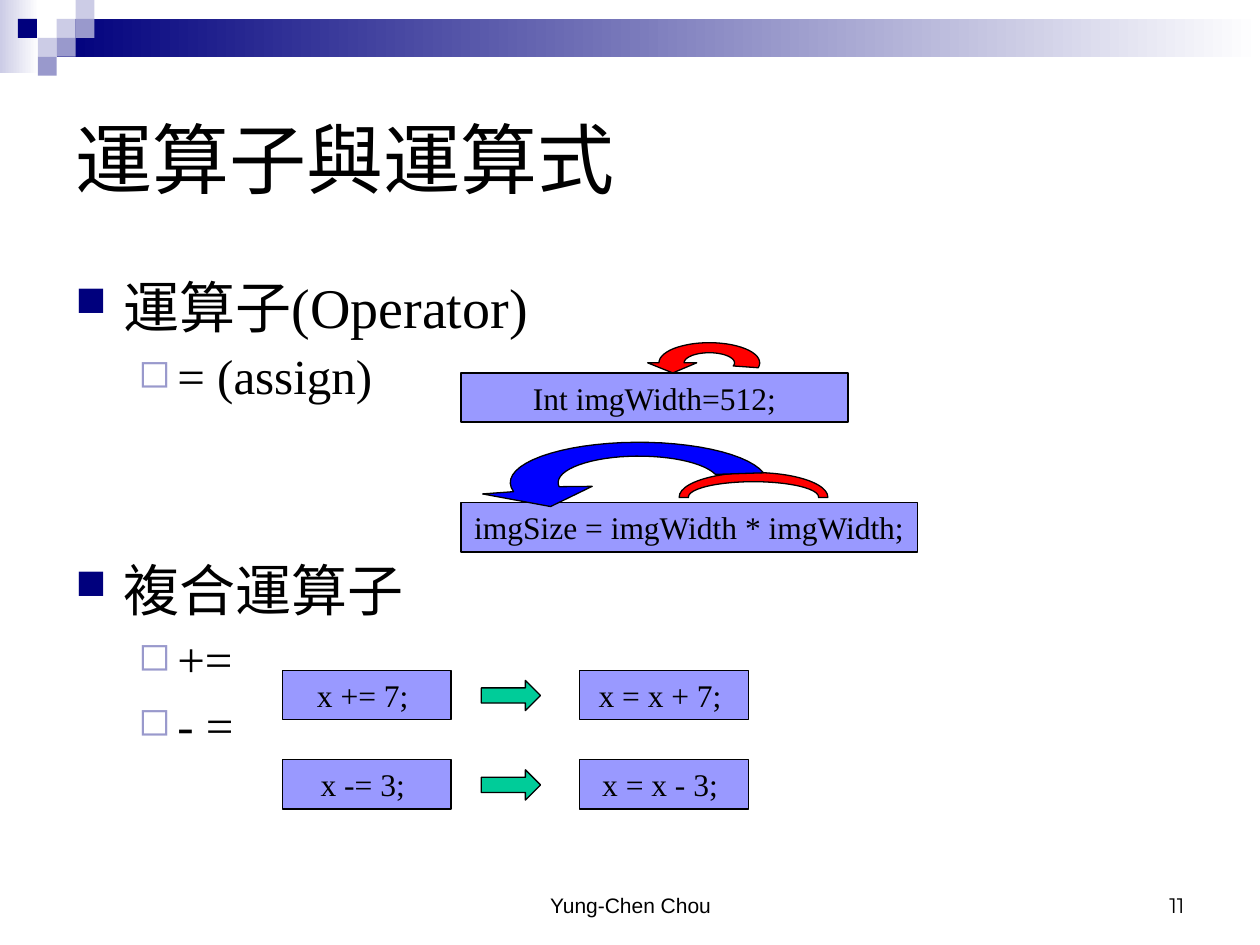
from math import cos, radians, sin

from pptx import Presentation
from pptx.dml.color import RGBColor
from pptx.enum.shapes import MSO_SHAPE as Shape
from pptx.enum.text import MSO_ANCHOR as Anchor, PP_ALIGN as Align
from pptx.oxml.ns import qn
from pptx.util import Inches, Pt
from lxml.etree import SubElement


def rgb(color):
    return RGBColor.from_string(color)


def write(shape, text, size=18, font="Times New Roman", align=Align.CENTER,
          anchor=Anchor.MIDDLE, wrap=True, new=False):
    frame = shape.text_frame
    frame.word_wrap = wrap
    frame.vertical_anchor = anchor
    paragraph = frame.add_paragraph() if new else frame.paragraphs[0]
    paragraph.alignment = align
    run = paragraph.add_run()
    run.text = text
    run.font.size = Pt(size)
    run.font.name = font
    run.font.color.rgb = rgb("000000")
    return paragraph


presentation = Presentation()
presentation.slide_width = Inches(10)
presentation.slide_height = Inches(7.5)
slide = presentation.slides.add_slide(presentation.slide_layouts[6])
shapes = slide.shapes

for left, top, width, height, dark in [(0, 0, 0.31, 0.58, "CCCCE6"),
                                       (0.45, 0.15, 9.55, 0.3, "00007D")]:
    band = shapes.add_shape(Shape.RECTANGLE, Inches(left), Inches(top), Inches(width), Inches(height))
    band.shadow.inherit = False
    band.line.fill.background()
    band.fill.gradient()
    band.fill.gradient_angle = 180
    for stop, color, position in zip(band.fill.gradient_stops, ("FFFFFF", dark), (0, 1)):
        stop.color.rgb = rgb(color)
        stop.position = position

tile = 0.15
for column, row, color in [(3, 1, "CCCCE6"), (4, 0, "CCCCE6"), (4, 1, "9999CC"), (2, 2, "CCCCE6"),
                           (0.95, 1, "00007D"), (3, 2, "9999CC"), (2, 3, "9999CC")]:
    square = shapes.add_shape(Shape.RECTANGLE, Inches(column * tile), Inches(row * tile),
                              Inches(tile), Inches(tile))
    square.shadow.inherit = False
    square.line.fill.background()
    square.fill.solid()
    square.fill.fore_color.rgb = rgb(color)

title = shapes.add_textbox(Inches(0.5), Inches(0.5), Inches(9), Inches(1.5))
write(title, "運算子與運算式", size=44, align=Align.LEFT)

body = shapes.add_textbox(Inches(0.5), Inches(2.17), Inches(9), Inches(4.25))
outline = [("運算子(Operator)", 0, 8), ("= (assign)", 1, 7), ("複合運算子", 0, 90),
           ("+=", 1, 7), ("- =", 1, 7)]
levels = [(32, 0.38, -0.38, "■", "00007D", 75), (28, 0.81, -0.31, "◻", "9999CC", 80)]
for index, (text, level, space) in enumerate(outline):
    size, margin, indent, bullet, color, percent = levels[level]
    paragraph = write(body, text, size=size, align=Align.LEFT, anchor=Anchor.TOP, new=index > 0)
    paragraph.level = level
    paragraph.line_spacing = 0.9
    paragraph.space_before = Pt(space)
    properties = paragraph._p.get_or_add_pPr()
    properties.set("marL", str(Inches(margin)))
    properties.set("indent", str(Inches(indent)))
    bullet_color = SubElement(properties, qn("a:buClr"))
    SubElement(bullet_color, qn("a:srgbClr")).set("val", color)
    SubElement(properties, qn("a:buSzPct")).set("val", str(percent * 1000))
    SubElement(properties, qn("a:buChar")).set("char", bullet)

figures = []
for text, left, top, width in [("Int imgWidth=512;", 3.66, 2.96, 3.07),
                               ("imgSize = imgWidth * imgWidth;", 3.66, 3.99, 3.62),
                               ("x += 7; ", 2.24, 5.32, 1.34), ("x = x + 7; ", 4.6, 5.32, 1.34),
                               ("x -= 3; ", 2.24, 6.03, 1.34), ("x = x - 3; ", 4.6, 6.03, 1.34)]:
    box = shapes.add_shape(Shape.RECTANGLE, Inches(left), Inches(top), Inches(width), Inches(0.39))
    write(box, text, wrap=False)
    figures.append((box, "9999FF"))

for top in (5.4, 6.11):
    arrow = shapes.add_shape(Shape.RIGHT_ARROW, Inches(3.82), Inches(top), Inches(0.47), Inches(0.24))
    figures.append((arrow, "00CC99"))

arc = shapes.add_shape(Shape.BLOCK_ARC, Inches(5.39), Inches(3.75), Inches(1.18), Inches(0.39))
for index, value in enumerate((107.755, 0.245, 0.188)):
    arc.adjustments[index] = value
figures.append((arc, "FF0000"))

curved_arrows = [
    ("FF0000", 5.63, 2.88, (0.4, 0.16, 180, -14), (0.2, 0.08, -18, 180),
     [(5.53, 2.88), (5.34, 2.96), (5.14, 2.88)]),
    ("0000FF", 5.07, 3.83, (1.02, 0.32, 193, 14), (0.64, 0.21, 18, 189),
     [(4.7, 3.86), (4.37, 4.02), (3.83, 3.92)]),
]
steps = 30
for color, center_x, center_y, outer, inner, head in curved_arrows:
    points = []
    for radius_x, radius_y, start, end in (outer, inner):
        for step in range(steps + 1):
            angle = radians(start + (end - start) * step / steps)
            points.append((center_x + radius_x * cos(angle), center_y - radius_y * sin(angle)))
    points = [(Inches(x), Inches(y)) for x, y in points + head]
    builder = shapes.build_freeform(*points[0])
    builder.add_line_segments(points[1:], close=True)
    figures.append((builder.convert_to_shape(), color))

for shape, color in figures:
    shape.shadow.inherit = False
    shape.fill.solid()
    shape.fill.fore_color.rgb = rgb(color)
    shape.line.color.rgb = rgb("000000")
    shape.line.width = Pt(0.75)

for text, left, width, font, align in [("Yung-Chen Chou", 3.42, 3.17, "Arial", Align.CENTER),
                                       ("11", 7.17, 2.33, "Montserrat", Align.RIGHT)]:
    footer = shapes.add_textbox(Inches(left), Inches(6.83), Inches(width), Inches(0.5))
    write(footer, text, size=12, font=font, align=align, anchor=Anchor.BOTTOM)

presentation.save("out.pptx")
